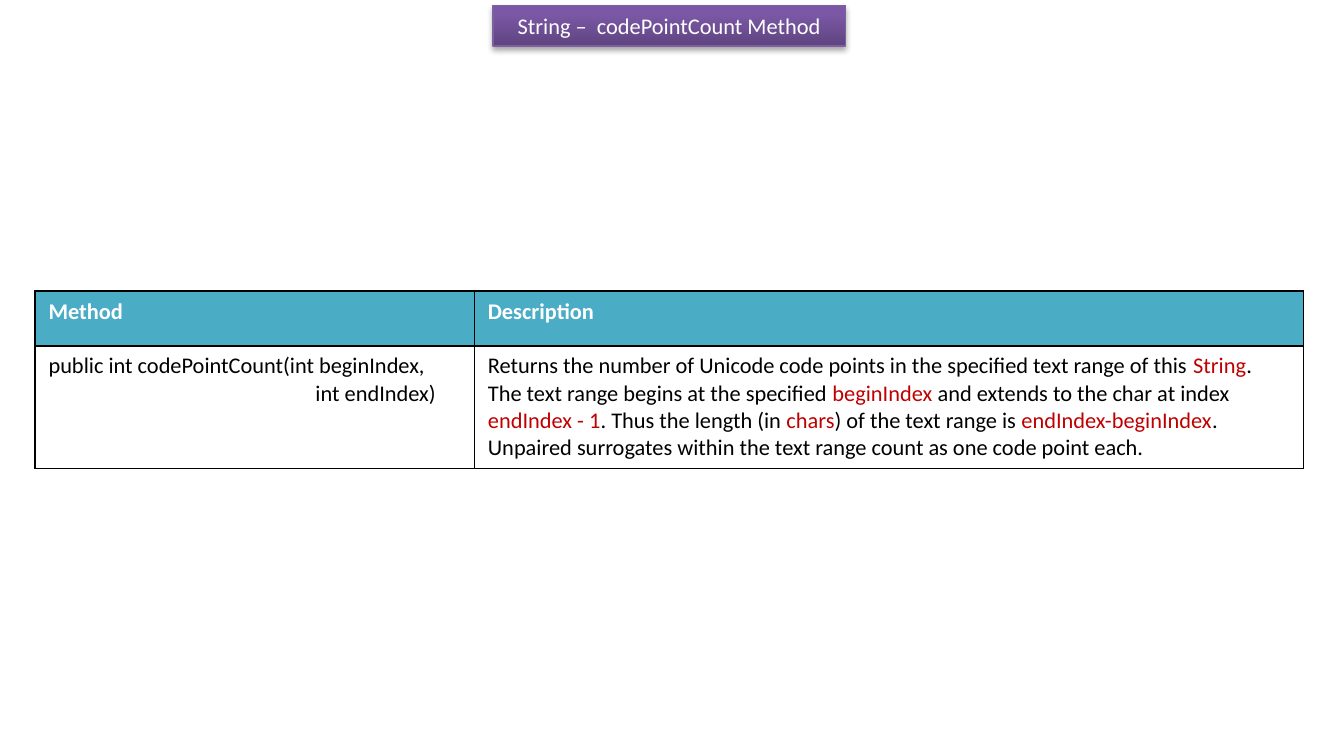
from lxml import etree
from pptx import Presentation
from pptx import util as u
from pptx.dml.color import RGBColor
from pptx.enum import text
from pptx.oxml import parse_xml
from pptx.oxml.ns import nsdecls, qn

COLORS = {
    "white": "FFFFFF",
    "black": "000000",
    "red": "C00000",
    "header": "4BACC6",
    "title_line": "7D60A0",
}
TITLE = "String –  codePointCount Method"
TITLE_BOX = (264.2, 2.9, 188.8, 21.8)
TITLE_STOPS = [(0, "5F4480"), (80, "7B58A6"), (100, "7C57A8")]

TABLE_LEFT, TABLE_TOP = 18.8, 156
COLUMN_WIDTHS = [235.4, 444.2]
ROW_HEIGHTS = [29.3, 65]
HEADERS = ["Method", "Description"]
SIGNATURE = [
    (0, [("public int codePointCount(int beginIndex,", "black")]),
    (143, [("int endIndex)", "black")]),
]
DESCRIPTION = [
    (0, [
        ("Returns the number of Unicode code points in the specified text range of this ", "black"),
        ("String", "red"),
        (". The text range begins at the specified ", "black"),
        ("beginIndex ", "red"),
        ("and extends to the char at index ", "black"),
        ("endIndex - 1", "red"),
        (". Thus the length (in ", "black"),
        ("chars", "red"),
        (") of the text range is ", "black"),
        ("endIndex-beginIndex", "red"),
        (". Unpaired surrogates within the text range count as one code point each.", "black"),
    ]),
]
ROWS = [
    [[(0, [(header, "white")])] for header in HEADERS],
    [SIGNATURE, DESCRIPTION],
]


def rgb(name):
    return RGBColor.from_string(COLORS[name])


def add_run(paragraph, words, color, bold=False):
    run = paragraph.add_run()
    run.text = words
    run.font.name = "Calibri"
    run.font.size = u.Pt(12)
    run.font.bold = bold
    run.font.color.rgb = rgb(color)


def add_title(slide):
    title = slide.shapes.title
    title.left, title.top, title.width, title.height = map(u.Pt, TITLE_BOX)
    properties = title._element.spPr
    stops = "".join(
        f'<a:gs pos="{position * 1000}"><a:srgbClr val="{color}"/></a:gs>'
        for position, color in TITLE_STOPS
    )
    properties.append(parse_xml(
        f'<a:gradFill {nsdecls("a")} rotWithShape="1"><a:gsLst>{stops}</a:gsLst>'
        '<a:lin ang="16200000" scaled="0"/></a:gradFill>'
    ))
    title.line.color.rgb = rgb("title_line")
    title.line.width = u.Pt(0.75)
    properties.append(parse_xml(
        f'<a:effectLst {nsdecls("a")}><a:outerShdw blurRad="{u.Pt(3.1)}" '
        f'dist="{u.Pt(1.8)}" dir="5400000" rotWithShape="0">'
        f'<a:srgbClr val="{COLORS["black"]}"><a:alpha val="35000"/></a:srgbClr>'
        '</a:outerShdw></a:effectLst>'
    ))
    frame = title.text_frame
    frame.auto_size = text.MSO_AUTO_SIZE.NONE
    frame.word_wrap = True
    frame.vertical_anchor = text.MSO_ANCHOR.MIDDLE
    paragraph = frame.paragraphs[0]
    paragraph.alignment = text.PP_ALIGN.CENTER
    add_run(paragraph, TITLE, "white")


def add_borders(cell):
    properties = cell._tc.get_or_add_tcPr()
    for index, side in enumerate(("lnL", "lnR", "lnT", "lnB")):
        line = etree.Element(qn(f"a:{side}"), w=str(u.Pt(1)))
        fill = etree.SubElement(line, qn("a:solidFill"))
        etree.SubElement(fill, qn("a:srgbClr"), val=COLORS["black"])
        properties.insert(index, line)


def fill_cell(cell, paragraphs, is_header):
    cell.fill.solid()
    cell.fill.fore_color.rgb = rgb("header" if is_header else "white")
    add_borders(cell)
    for index, (indent, runs) in enumerate(paragraphs):
        frame = cell.text_frame
        paragraph = frame.add_paragraph() if index else frame.paragraphs[0]
        if indent:
            paragraph._p.get_or_add_pPr().set("marL", str(u.Pt(indent)))
        for words, color in runs:
            add_run(paragraph, words, color, is_header)


def add_method_table(slide):
    table = slide.shapes.add_table(
        len(ROWS), len(HEADERS), u.Pt(TABLE_LEFT), u.Pt(TABLE_TOP),
        u.Pt(sum(COLUMN_WIDTHS)), u.Pt(sum(ROW_HEIGHTS)),
    ).table
    for column, width in zip(table.columns, COLUMN_WIDTHS):
        column.width = u.Pt(width)
    for row_index, (row, height) in enumerate(zip(table.rows, ROW_HEIGHTS)):
        row.height = u.Pt(height)
        for cell, paragraphs in zip(row.cells, ROWS[row_index]):
            fill_cell(cell, paragraphs, row_index == 0)


def main():
    presentation = Presentation()
    presentation.slide_width = u.Pt(720)
    presentation.slide_height = u.Pt(396)
    slide = presentation.slides.add_slide(presentation.slide_layouts[5])
    add_title(slide)
    add_method_table(slide)
    presentation.save("out.pptx")


if __name__ == "__main__":
    main()
